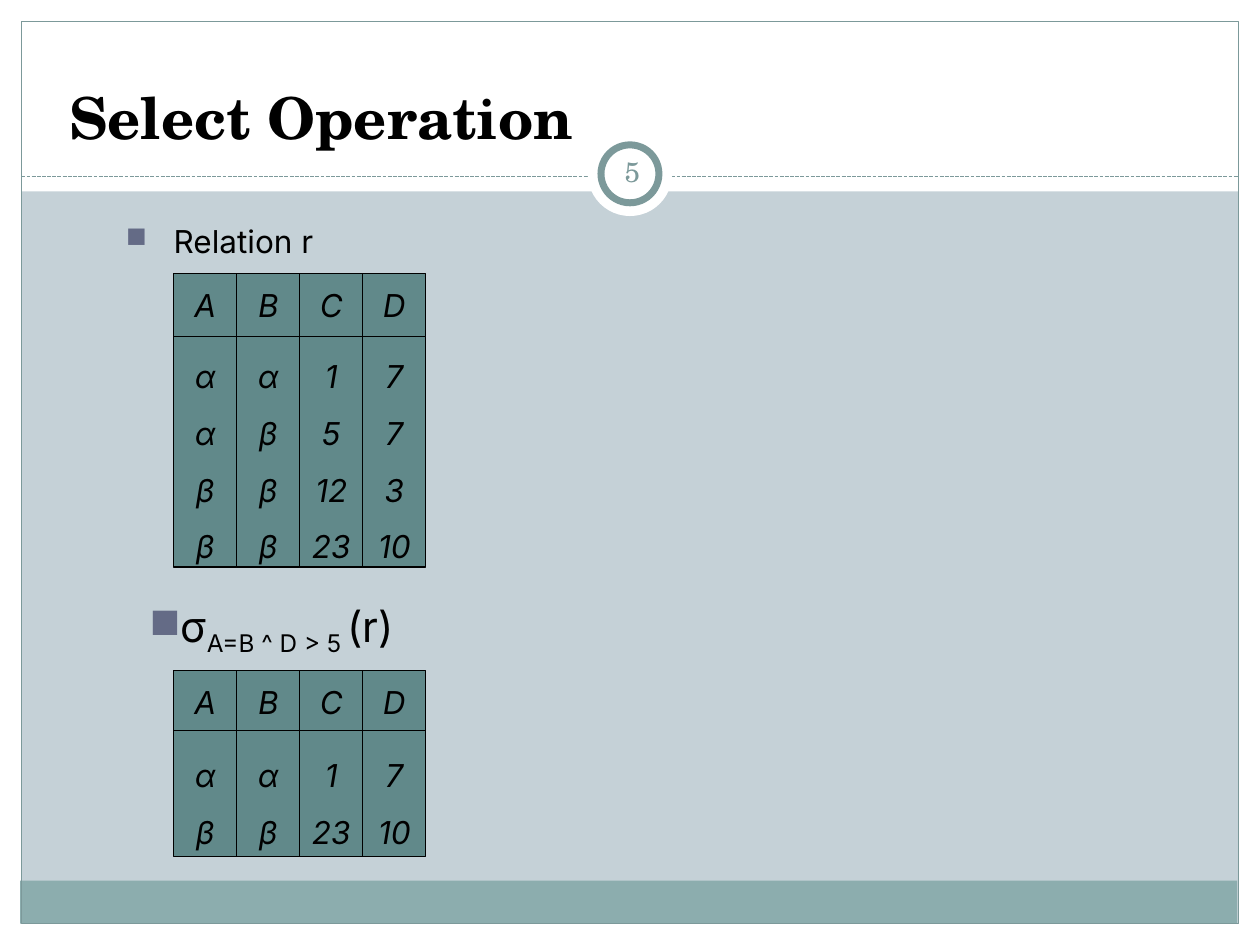
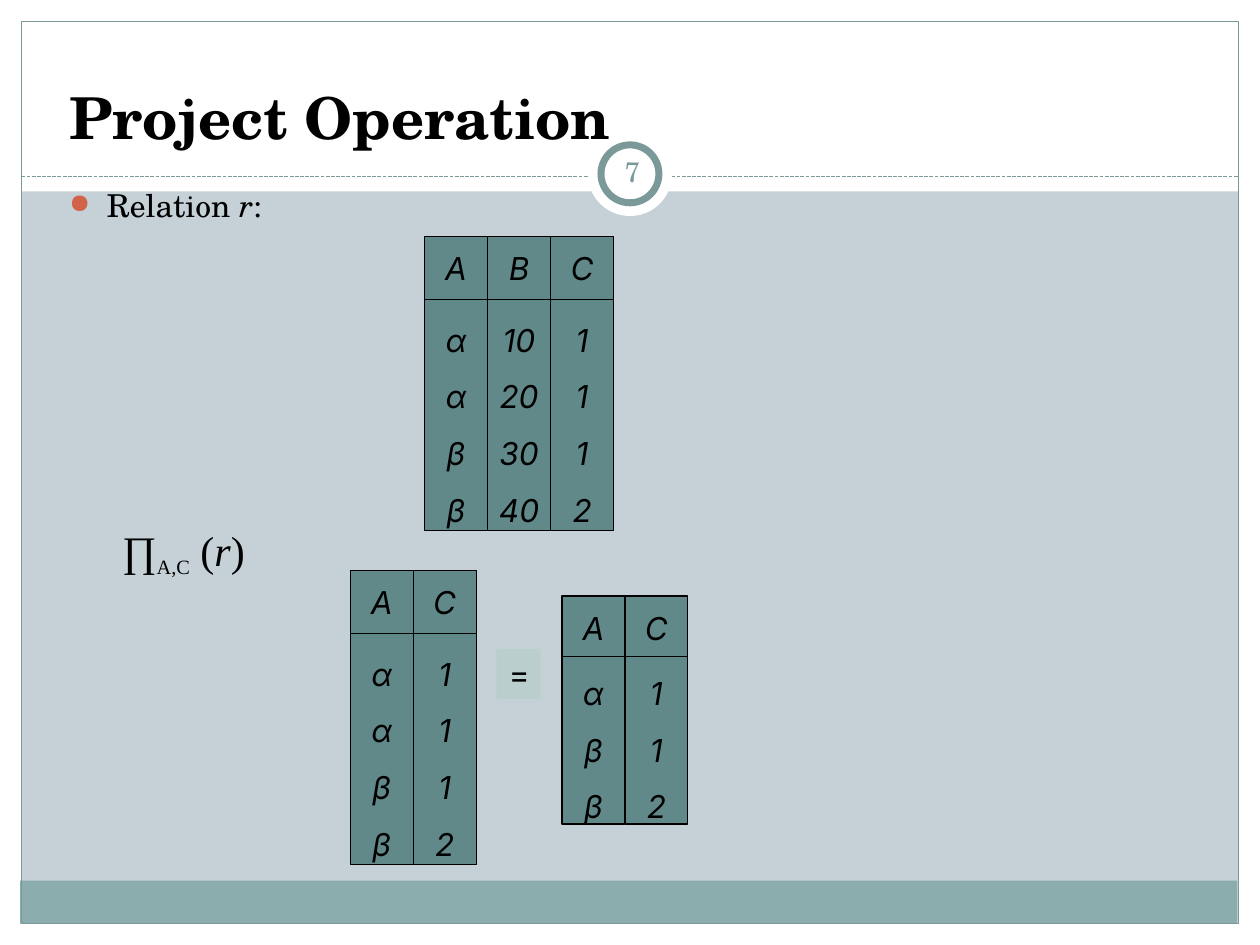
import pptx
import pptx.util
import pptx.dml.color
import pptx.enum.dml
import pptx.enum.shapes
import pptx.enum.text
import pptx.oxml
import pptx.oxml.ns
from dataclasses import dataclass
from lxml import etree

Inches = pptx.util.Inches
Pt = pptx.util.Pt
ANCHOR = pptx.enum.text.MSO_ANCHOR
SHAPE = pptx.enum.shapes.MSO_SHAPE
CENTER = pptx.enum.text.PP_ALIGN.CENTER
FIT_SHAPE = pptx.enum.text.MSO_AUTO_SIZE.SHAPE_TO_FIT_TEXT


@dataclass(frozen=True)
class Theme:
    background: str = "C5D1D7"
    paper: str = "FFFFFF"
    footer: str = "8CADAE"
    rule: str = "7C999A"
    cell: str = "61898A"
    equals: str = "BACECE"
    ink: str = "000000"
    square_bullet: str = "646B86"
    round_bullet: str = "D16349"
    serif: str = "TeX Gyre Schola"
    sans: str = "Inter"
    formula: str = "Times New Roman"
    title_size: int = 33
    formula_size: int = 24
    gap_size: int = 20
    body_size: int = 18
    number_size: int = 16
    thin: float = 0.75
    ring: float = 4


THEME = Theme()
CELL = 0.5
SUBSCRIPT = -25
BADGE_CENTER = (5, 1.38)

MARGINS = [(0, 7.33, 10, 0.17), (0, 0, 10, 1.52),
           (0, 0, 0.17, 7.5), (9.83, 0, 0.17, 7.5)]

SQUARE = {"char": "■", "color": THEME.square_bullet}
ROUND = {"char": "●", "color": THEME.round_bullet}

SLIDES = [
    {
        "title": "Select Operation",
        "number": "5",
        "relations": [
            {"at": (1.38, 2.17), "head": "ABCD", "body_top": 0.5, "body_height": 1.83,
             "rows": [("α", "α", "1", "7"), ("α", "β", "5", "7"),
                      ("β", "β", "12", "3"), ("β", "β", "23", "10")]},
            {"at": (1.38, 5.32), "head": "ABCD", "body_top": 0.48, "body_height": 1,
             "rows": [("α", "α", "1", "7"), ("β", "β", "23", "10")]},
        ],
        "statements": [
            {"box": (0.9, 1.71, 1.79, 0.4), "font": THEME.sans, "size": THEME.body_size,
             "runs": [("Relation r", {})],
             "bullet": {**SQUARE, "percent": 90, "indent": 0.38}},
            {"box": (1.04, 4.74, 2.23, 0.5), "font": THEME.sans, "size": THEME.formula_size,
             "runs": [("σ", {}), ("A=B ^ D > 5", {"baseline": SUBSCRIPT}),
                      (" ", {"baseline": SUBSCRIPT, "size": THEME.gap_size}), ("(r)", {})],
             "bullet": {**SQUARE, "percent": 100, "indent": 0.25},
             "align": CENTER, "anchor": ANCHOR.MIDDLE, "wrap": False, "grow": True},
        ],
    },
    {
        "title": "Project Operation",
        "number": "7",
        "relations": [
            {"at": (3.37, 1.88), "head": "ABC", "body_top": 0.5, "body_height": 1.83,
             "rows": [("α", "10", "1"), ("α", "20", "1"),
                      ("β", "30", "1"), ("β", "40", "2")]},
            {"at": (2.78, 4.53), "head": "AC", "body_top": 0.5, "body_height": 1.83,
             "rows": [("α", "1"), ("α", "1"), ("β", "1"), ("β", "2")]},
            {"at": (4.46, 4.73), "head": "AC", "body_top": 0.48, "body_height": 1.33,
             "rows": [("α", "1"), ("β", "1"), ("β", "2")]},
        ],
        "statements": [
            {"box": (0.45, 1.43, 7.5, 0.45), "font": THEME.serif, "size": THEME.body_size,
             "runs": [("Relation", {}), (" r", {"italic": True}), (":", {})],
             "bullet": {**ROUND, "percent": 85, "indent": 0.3}},
            {"box": (3.94, 5.15, 0.35, 0.4), "font": THEME.sans, "size": THEME.body_size,
             "runs": [("=", {})], "fill": THEME.equals, "align": CENTER,
             "anchor": ANCHOR.MIDDLE, "wrap": False, "grow": True},
            {"box": (0.87, 4.11, 7.69, 0.45), "font": THEME.formula,
             "size": THEME.formula_size,
             "runs": [("∏", {}), ("A,C", {"baseline": SUBSCRIPT, "size": THEME.gap_size}),
                      (" (", {}), ("r", {"italic": True}), (")", {})]},
        ],
    },
]


def rgb(color):
    return pptx.dml.color.RGBColor.from_string(color)


def set_font(paragraph, name, size, color=THEME.ink, **emphasis):
    font = paragraph.font
    font.name, font.size, font.color.rgb = name, Pt(size), rgb(color)
    for key, value in emphasis.items():
        setattr(font, key, value)


def set_bullet(paragraph, char, color, percent, indent):
    properties = paragraph._p.get_or_add_pPr()
    properties.set("marL", str(Inches(indent)))
    properties.set("indent", str(-Inches(indent)))
    namespace = pptx.oxml.ns.nsdecls("a")
    markup = [f'<a:buClr {namespace}><a:srgbClr val="{color}"/></a:buClr>',
              f'<a:buSzPct {namespace} val="{percent * 1000}"/>',
              f'<a:buChar {namespace} char="{char}"/>']
    position = 0
    for position, element in enumerate(markup):
        properties.insert(position, pptx.oxml.parse_xml(element))


def add_panel(slide, box, fill=None, line=None, width=THEME.thin, kind=SHAPE.RECTANGLE):
    panel = slide.shapes.add_shape(kind, *map(Inches, box))
    panel.shadow.inherit = False
    if fill:
        panel.fill.solid()
        panel.fill.fore_color.rgb = rgb(fill)
    else:
        panel.fill.background()
    if line:
        panel.line.color.rgb = rgb(line)
        panel.line.width = Pt(width)
    else:
        panel.line.fill.background()
    return panel


def add_statement(slide, box, runs, font, size, color=THEME.ink, bold=None, bullet=None,
                  align=None, anchor=ANCHOR.TOP, wrap=True, grow=False, fill=None,
                  inset=None):
    statement = slide.shapes.add_textbox(*map(Inches, box))
    if fill:
        statement.fill.solid()
        statement.fill.fore_color.rgb = rgb(fill)
    frame = statement.text_frame
    frame.word_wrap, frame.vertical_anchor = wrap, anchor
    if grow:
        frame.auto_size = FIT_SHAPE
    if inset is not None:
        frame.margin_left = frame.margin_right = Inches(inset)
    paragraph = frame.paragraphs[0]
    paragraph.alignment = align
    set_font(paragraph, font, size, color, bold=bold)
    if bullet:
        set_bullet(paragraph, **bullet)
    for text, style in runs:
        run = paragraph.add_run()
        run.text = text
        run.font.italic = style.get("italic")
        if "size" in style:
            run.font.size = Pt(style["size"])
        if "baseline" in style:
            run._r.get_or_add_rPr().set("baseline", str(style["baseline"] * 1000))


def add_cell(slide, box, values, spacing=None):
    cell = add_panel(slide, box, THEME.cell, THEME.ink)
    frame = cell.text_frame
    frame.word_wrap, frame.vertical_anchor = False, ANCHOR.MIDDLE
    frame.text = "\n".join(values)
    for paragraph in frame.paragraphs:
        paragraph.alignment, paragraph.line_spacing = CENTER, spacing
        set_font(paragraph, THEME.sans, THEME.body_size, italic=True)


def add_relation(slide, at, head, rows, body_top, body_height):
    left, top = at
    lefts = [left + CELL * column for column in range(len(head))]
    for x, attribute in zip(lefts, head):
        add_cell(slide, (x, top, CELL, CELL), [attribute])
    for x, values in zip(lefts, zip(*rows)):
        add_cell(slide, (x, top + body_top, CELL, body_height), values, 1.5)


def add_badge_disc(slide, diameter, line=None):
    x, y = BADGE_CENTER
    box = (x - diameter / 2, y - diameter / 2, diameter, diameter)
    add_panel(slide, box, THEME.paper, line, THEME.ring, SHAPE.OVAL)


def add_frame(slide, title, number):
    slide.background.fill.solid()
    slide.background.fill.fore_color.rgb = rgb(THEME.background)
    for margin in MARGINS:
        add_panel(slide, margin, THEME.paper)
    add_panel(slide, (0.16, 6.99, 9.66, 0.34), THEME.footer)
    add_panel(slide, (0.17, 0.17, 9.66, 7.16), line=THEME.rule)
    divider = slide.shapes.add_connector(pptx.enum.shapes.MSO_CONNECTOR.STRAIGHT,
                                         *map(Inches, (0.17, 1.4, 9.83, 1.4)))
    divider.line.color.rgb = rgb(THEME.rule)
    divider.line.width = Pt(THEME.thin)
    divider.line.dash_style = pptx.enum.dml.MSO_LINE.SQUARE_DOT
    etree.SubElement(divider._element.spPr, pptx.oxml.ns.qn("a:effectLst"))
    add_badge_disc(slide, 0.67)
    add_badge_disc(slide, 0.46, THEME.rule)
    add_statement(slide, (0.45, 0.42, 9.33, 0.83), [(title, {})], THEME.serif,
                  THEME.title_size, bold=True, anchor=ANCHOR.BOTTOM)
    add_statement(slide, (4.77, 1.12, 0.5, 0.48), [(number, {})], THEME.serif,
                  THEME.number_size, THEME.rule, align=CENTER, anchor=ANCHOR.MIDDLE,
                  inset=0.05)


def main():
    deck = pptx.Presentation()
    deck.slide_width, deck.slide_height = Inches(10), Inches(7.5)
    for content in SLIDES:
        slide = deck.slides.add_slide(deck.slide_layouts[6])
        add_frame(slide, content["title"], content["number"])
        for relation in content["relations"]:
            add_relation(slide, **relation)
        for statement in content["statements"]:
            add_statement(slide, **statement)
    deck.save("out.pptx")


if __name__ == "__main__":
    main()
